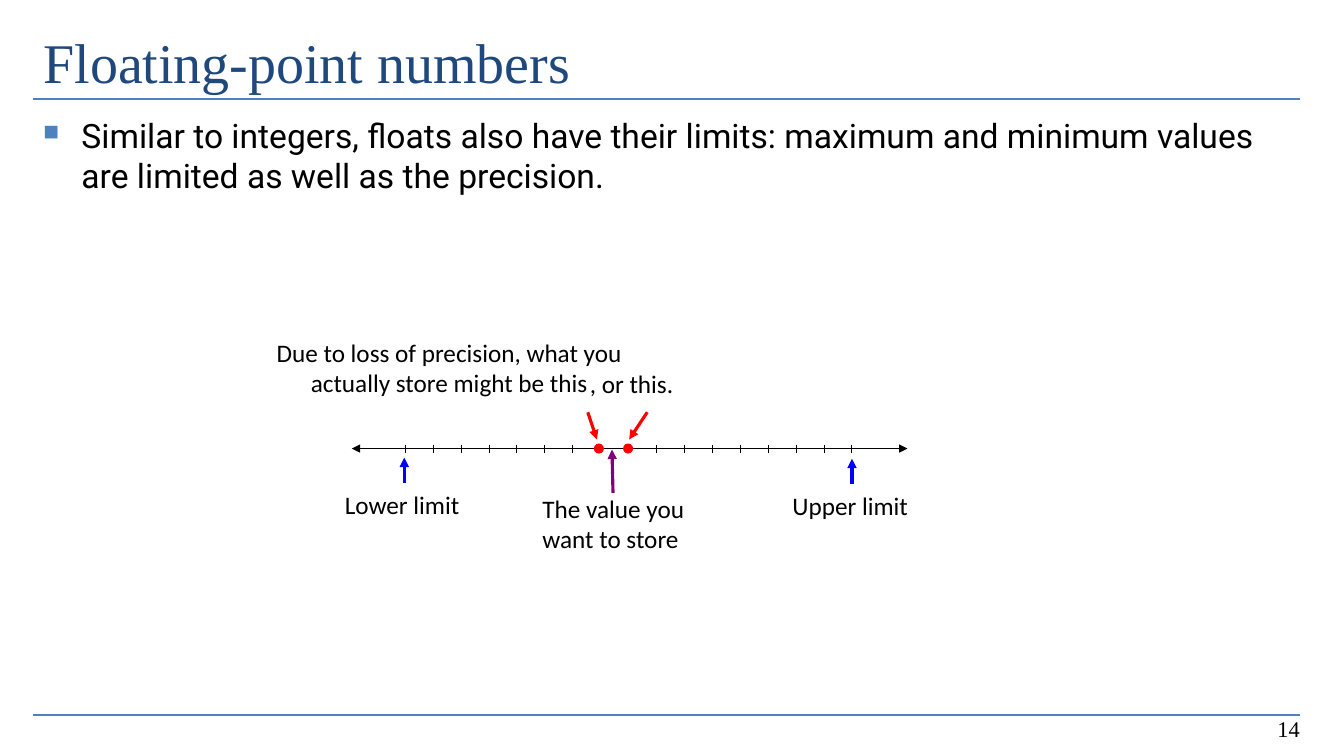
from lxml import etree
from pptx import Presentation
from pptx.dml.color import RGBColor
from pptx.enum.shapes import MSO_CONNECTOR, MSO_SHAPE
from pptx.enum.text import MSO_ANCHOR, MSO_AUTO_SIZE, PP_ALIGN
from pptx.oxml.ns import qn
from pptx.util import Inches, Pt

NAVY = RGBColor(0x1F, 0x49, 0x7D)
STEEL = RGBColor(0x4F, 0x81, 0xBD)
BLACK = RGBColor(0, 0, 0)
BLUE = RGBColor(0, 0, 0xFF)
PURPLE = RGBColor(0x80, 0, 0x80)
RED = RGBColor(0xFF, 0, 0)

deck = Presentation()
deck.slide_width, deck.slide_height = Inches(13.33), Inches(7.5)
page = deck.slides.add_slide(deck.slide_layouts[5])


def add_line(start, end, color, width, *arrow_ends):
    """Draw a line; arrow_ends may hold "headEnd" (start) and "tailEnd" (end)."""
    line = page.shapes.add_connector(
        MSO_CONNECTOR.STRAIGHT, *(Inches(value) for value in (*start, *end)))
    line.line.color.rgb = color
    line.line.width = Pt(width)
    for arrow_end in arrow_ends:
        etree.SubElement(line.line._ln, qn("a:" + arrow_end), type="triangle")
    etree.SubElement(line._element.spPr, qn("a:effectLst"))


def write_text(box, text, font, size, color, anchor, align=PP_ALIGN.LEFT):
    frame = box.text_frame
    frame.word_wrap = True
    frame.auto_size = MSO_AUTO_SIZE.NONE
    frame.vertical_anchor = anchor
    para = frame.paragraphs[0]
    para.alignment = align
    span = para.add_run()
    span.text = text
    span.font.name = font
    span.font.size = Pt(size)
    span.font.color.rgb = color
    return para


# Title, rules and page number
title = page.shapes.title
title.left, title.top = Inches(0.33), Inches(0.17)
title.width, title.height = Inches(12.56), Inches(1.17)
write_text(title, "Floating-point numbers", "Times New Roman", 40, NAVY, MSO_ANCHOR.TOP)
title.text_frame.margin_top = Inches(0.1)

for rule_y in (0.98, 7.09):
    add_line((0.33, rule_y), (12.89, rule_y), STEEL, 1.5)

number = page.shapes.add_textbox(Inches(9.88), Inches(6.91), Inches(3.11), Inches(0.5))
write_text(number, "14", "Times New Roman", 16, BLACK, MSO_ANCHOR.BOTTOM, PP_ALIGN.RIGHT)

# Bullet text
body = page.shapes.add_textbox(Inches(0.33), Inches(1.09), Inches(12.56), Inches(5.68))
bullet = write_text(
    body,
    "Similar to integers, floats also have their limits: maximum and minimum values "
    "are limited as well as the precision.",
    "Roboto", 24, BLACK, MSO_ANCHOR.TOP)
properties = bullet._p.get_or_add_pPr()
properties.set("marL", str(Inches(0.38)))
properties.set("indent", str(Inches(-0.38)))
bullet_color = etree.SubElement(properties, qn("a:buClr"))
etree.SubElement(bullet_color, qn("a:srgbClr"), val=str(STEEL))
etree.SubElement(properties, qn("a:buSzPct"), val="65000")
etree.SubElement(properties, qn("a:buChar"), char="■")

# Number line
AXIS_Y = 4.45
FIRST_TICK, LAST_TICK, TICK_COUNT = 4.02, 8.45, 17
add_line((3.49, AXIS_Y), (9, AXIS_Y), BLACK, 0.75, "headEnd", "tailEnd")
for index in range(TICK_COUNT):
    tick_x = FIRST_TICK + index * (LAST_TICK - FIRST_TICK) / (TICK_COUNT - 1)
    add_line((tick_x, AXIS_Y - 0.04), (tick_x, AXIS_Y + 0.04), BLACK, 0.75)

# Pointers to the limits, the wanted value and the stored values
for start, end, color in (
    ((4.01, 4.79), (4.01, 4.54), BLUE),
    ((8.45, 4.8), (8.45, 4.55), BLUE),
    ((6.08, 4.89), (6.07, 4.46), PURPLE),
    ((5.83, 4.09), (5.92, 4.36), RED),
    ((6.42, 4.09), (6.24, 4.36), RED),
):
    add_line(start, end, color, 2.25, "tailEnd")

for dot_x in (5.89, 6.18):
    dot = page.shapes.add_shape(
        MSO_SHAPE.OVAL, Inches(dot_x), Inches(AXIS_Y - 0.05), Inches(0.1), Inches(0.1))
    dot.shadow.inherit = False
    dot.fill.solid()
    dot.fill.fore_color.rgb = RED
    dot.line.fill.background()

for text, left, top, width, height, align in (
    ("Lower limit", 3.42, 4.85, 1.17, 0.3, PP_ALIGN.LEFT),
    ("Upper limit", 7.86, 4.86, 1.17, 0.3, PP_ALIGN.LEFT),
    ("The value you want to store", 5.38, 4.89, 1.54, 0.61, PP_ALIGN.LEFT),
    ("Due to loss of precision, what you actually store might be this",
     2.63, 3.34, 3.65, 0.61, PP_ALIGN.CENTER),
    (", or this.", 5.85, 3.65, 0.91, 0.3, PP_ALIGN.LEFT),
):
    label = page.shapes.add_textbox(Inches(left), Inches(top), Inches(width), Inches(height))
    write_text(label, text, "Calibri", 18, BLACK, MSO_ANCHOR.MIDDLE, align)
    frame = label.text_frame
    frame.margin_left = frame.margin_right = frame.margin_top = frame.margin_bottom = 0

deck.save("out.pptx")
